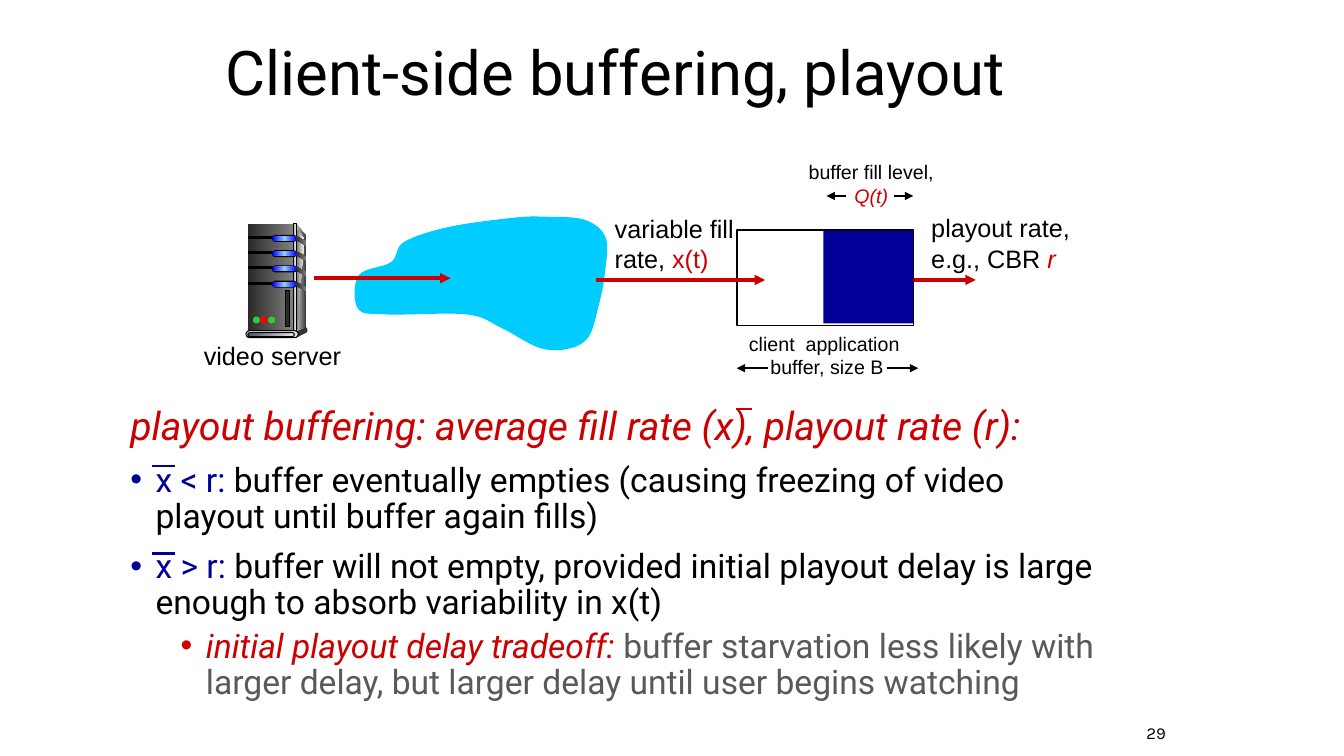
from lxml import etree
from pptx import Presentation
from pptx.dml.color import RGBColor
from pptx.enum import shapes as es, text as et
from pptx.oxml.ns import qn
from pptx.util import Pt

BLACK, RED, NAVY, GRAY = "000000", "CC0000", "000099", "595959"
STEEL = ("292929", "808080")
RECT, PILL, OVAL = (es.MSO_SHAPE.RECTANGLE, es.MSO_SHAPE.ROUNDED_RECTANGLE,
                    es.MSO_SHAPE.OVAL)
LEFT, CENTER, RIGHT = et.PP_ALIGN.LEFT, et.PP_ALIGN.CENTER, et.PP_ALIGN.RIGHT
CLOUD = [(367.2, 155.5), (321.1, 162), (288.7, 172.8), (279.4, 187.2),
         (256.3, 196.6), (255.6, 220.3), (275.8, 224.6), (333.4, 224.6),
         (357.8, 234), (385.2, 248.4), (406.1, 249.1), (420.5, 240.5),
         (427.7, 218.2), (432, 195.8), (432.7, 169.9), (417.6, 157),
         (389.5, 154.8)]


def rgb(color):
    return RGBColor.from_string(color)


def paint(sp, fill=None, line=None, width=0.75):
    """Fill with a colour, a left-to-right tuple of colours, or nothing."""
    sp.shadow.inherit = False
    if fill is None:
        sp.fill.background()
    elif isinstance(fill, str):
        sp.fill.solid()
        sp.fill.fore_color.rgb = rgb(fill)
    else:
        sp.fill.gradient()
        sp.fill.gradient_angle = 0
        stops = sp._element.spPr.find(".//" + qn("a:gsLst"))
        for old in list(stops):
            stops.remove(old)
        for i, color in enumerate(fill):
            pos = str(100000 * i // (len(fill) - 1))
            gs = etree.SubElement(stops, qn("a:gs"), pos=pos)
            etree.SubElement(gs, qn("a:srgbClr"), val=color)
    if line:
        sp.line.color.rgb = rgb(line)
        sp.line.width = Pt(width)
    else:
        sp.line.fill.background()


def add_preset(parent, kind, x, y, w, h, **look):
    sp = parent.add_shape(kind, Pt(x), Pt(y), Pt(w), Pt(h))
    if kind == PILL:
        sp.adjustments[0] = 0.5
    paint(sp, **look)


def add_outline(parent, points, **look):
    corners = [(Pt(x), Pt(y)) for x, y in points]
    builder = parent.build_freeform(*corners[0])
    builder.add_line_segments(corners[1:] + corners[:1], close=True)
    sp = builder.convert_to_shape()
    paint(sp, **look)
    return sp


def round_off(sp):
    """Turn the straight segments of a closed outline into smooth curves."""
    knots = [(int(pt.get("x")), int(pt.get("y")))
             for pt in sp._element.spPr.iter(qn("a:pt"))][:-1]
    n = len(knots)
    for i, seg in enumerate(list(sp._element.spPr.iter(qn("a:lnTo")))):
        a, b, c, d = (knots[(i + k) % n] for k in (-1, 0, 1, 2))
        leave = [q + (r - p) / 6 for p, q, r in zip(a, b, c)]
        arrive = [q - (r - p) / 6 for p, q, r in zip(b, c, d)]
        curve = etree.Element(qn("a:cubicBezTo"))
        for x, y in (leave, arrive, c):
            etree.SubElement(curve, qn("a:pt"), x=str(int(x)), y=str(int(y)))
        seg.getparent().replace(seg, curve)


def add_line(parent, x1, x2, y, color, width, arrow=True):
    ln = parent.add_connector(es.MSO_CONNECTOR.STRAIGHT,
                              Pt(x1), Pt(y), Pt(x2), Pt(y))
    ln.line.color.rgb = rgb(color)
    ln.line.width = Pt(width)
    if arrow:
        etree.SubElement(ln.line._get_or_add_ln(), qn("a:tailEnd"),
                         type="triangle")
    etree.SubElement(ln._element.spPr, qn("a:effectLst"))


def add_run(p, text, size, font="Arial", color=BLACK, italic=False):
    r = p.add_run()
    r.text = text
    r.font.size, r.font.name, r.font.italic = Pt(size), font, italic
    r.font.color.rgb = rgb(color)


def add_text(parent, x, y, w, h, paragraphs, size, font="Arial", align=LEFT,
             anchor=et.MSO_ANCHOR.TOP, spacing=None):
    """Each paragraph is a list of (text, run format) pairs."""
    tf = parent.add_textbox(Pt(x), Pt(y), Pt(w), Pt(h)).text_frame
    tf.word_wrap = True
    tf.vertical_anchor = anchor
    for i, runs in enumerate(paragraphs):
        p = tf.add_paragraph() if i else tf.paragraphs[0]
        p.alignment = align
        if spacing:
            p.line_spacing = spacing
        for text, look in runs:
            add_run(p, text, **{"size": size, "font": font, **look})
    return tf


def add_bullet(p, level, before):
    p.level = level
    p.space_before = Pt(before)
    pPr = p._p.get_or_add_pPr()
    pPr.set("marL", str(Pt(18 + 36 * level)))
    pPr.set("indent", str(Pt(-18)))
    etree.SubElement(pPr, qn("a:buFont"), typeface="Arial")
    etree.SubElement(pPr, qn("a:buChar"), char="•")


def add_server(parent):
    g = parent.add_group_shape().shapes
    add_outline(g, [(211.7, 159.8), (218.9, 169.2), (218.9, 234.7),
                    (210.2, 237.6)], fill=("DDDDDD", "333333"))
    add_preset(g, RECT, 177.1, 159.8, 32.4, 77.8, fill=STEEL)
    add_outline(g, [(212.4, 164.2), (217.4, 170.6), (214.5, 205),
                    (212.4, 235.4)], fill=("808080", "F8F8F8"))
    add_preset(g, RECT, 209.5, 159.8, 2.2, 77.8,
               fill=("333333", "DDDDDD", "333333"), line=BLACK)
    for bay in range(4):
        y = 167.8 + 10.9 * bay
        add_preset(g, RECT, 177.8, y + 1, 18.7, 1.4, fill=BLACK, line=BLACK)
        add_preset(g, PILL, 194.2, y, 18, 5, fill=BLACK)
        add_preset(g, PILL, 194.6, y + 0.7, 17.3, 3.6,
                   fill=("0000FF", "99CCFF", "0000FF"))
        add_outline(g, [(211.4, y + 0.7), (219, y + 4.7), (219, y + 7.7),
                        (211.4, y + 3.6)], fill=STEEL)
    add_preset(g, OVAL, 218.2, 234, 1.4, 3.6, fill="333333")
    add_outline(g, [(211.7, 236.9), (211.7, 241.2), (218.9, 237.6),
                    (218.9, 234)], fill="333333")
    add_preset(g, PILL, 175.7, 236.2, 37.4, 5, fill="DDDDDD", line=BLACK)
    add_preset(g, PILL, 177.1, 237.6, 33.1, 2.9,
               fill=("44546A", "E7E6E6"), line=BLACK)
    for i, color in enumerate(("33CC33", "FF0000", "33CC33")):
        add_preset(g, OVAL, 180.7 + 5.4 * i, 226.1, 5, 5, fill=color)
    add_preset(g, RECT, 203.8, 207.4, 2.9, 25.9, fill="292929", line=BLACK)


def add_diagram(parent):
    add_server(parent)
    round_off(add_outline(parent, CLOUD, fill="00CCFF"))
    add_preset(parent, RECT, 526.5, 164.2, 126, 68.4, line=BLACK, width=1.25)
    for x1, x2, y in ((224.6, 321.8, 198.7), (425.5, 546.5, 200),
                      (645.8, 697, 200)):
        add_line(parent, x1, x2, y, RED, 2.5)
    add_preset(parent, RECT, 588.2, 164.9, 64.3, 66.2, fill=NAVY)
    for x1, x2, y in ((633.6, 655.9, 263), (548.6, 526.3, 263),
                      (604.1, 590.4, 140), (638.6, 652.3, 140)):
        add_line(parent, x1, x2, y, BLACK, 1.25)
    add_text(parent, 432, 149, 104.4, 51.1,
             [[("variable fill", {})],
              [("rate, ", {}), ("x(t)", {"color": RED})]], 18)
    add_text(parent, 658.1, 148.3, 114.5, 51.1,
             [[("playout rate,", {})],
              [("e.g., CBR ", {}), ("r", {"color": RED, "italic": True})]], 18)
    add_text(parent, 138.5, 239.8, 118, 28.8, [[("video server", {})]], 18)
    add_text(parent, 525.6, 233.5, 130.3, 41,
             [[("client  application ", {})], [("buffer, size B", {})]],
             14, align=CENTER)
    add_text(parent, 566.2, 110.9, 112.3, 41,
             [[("buffer fill level, ", {}),
               ("Q(t)", {"color": RED, "italic": True})]], 14, align=CENTER)


def add_body(parent):
    key = {"color": RED, "italic": True}
    tf = add_text(parent, 86, 286.9, 707, 239, [
        [("playout buffering: average fill rate (x), playout rate (r):",
          {"size": 28, **key})],
        [("x < r: ", {"color": NAVY}),
         ("buffer eventually empties (causing freezing of video playout "
          "until buffer again fills)", {})],
        [("x > r: ", {"color": NAVY}),
         ("buffer will not empty, provided initial playout delay is large "
          "enough to absorb variability in x(t)", {})],
        [("initial playout delay tradeoff: ", key),
         ("buffer starvation less likely with larger delay, but larger delay "
          "until user begins watching", {"color": GRAY})],
    ], 24, font="Roboto", spacing=0.9)
    for p, level, before in zip(tf.paragraphs[1:], (0, 0, 1), (10, 10, 5)):
        add_bullet(p, level, before)
    for y in (332.8, 395.5):
        add_line(parent, 108.7, 125.3, y, NAVY, 1.75, arrow=False)
    add_line(parent, 525.6, 537.1, 292.3, RED, 1.5, arrow=False)


def main():
    prs = Presentation()
    prs.slide_width, prs.slide_height = Pt(960), Pt(540)
    parent = prs.slides.add_slide(prs.slide_layouts[6]).shapes
    middle = et.MSO_ANCHOR.MIDDLE
    add_text(parent, 154.3, 8.6, 612, 90,
             [[("Client-side buffering, playout", {})]], 44, font="Roboto",
             anchor=middle, spacing=0.9)
    add_diagram(parent)
    add_body(parent)
    add_text(parent, 785.8, 512.6, 54, 21.6, [[("29", {})]], 12,
             font="Karla", align=RIGHT, anchor=middle)
    prs.save("out.pptx")


if __name__ == "__main__":
    main()
